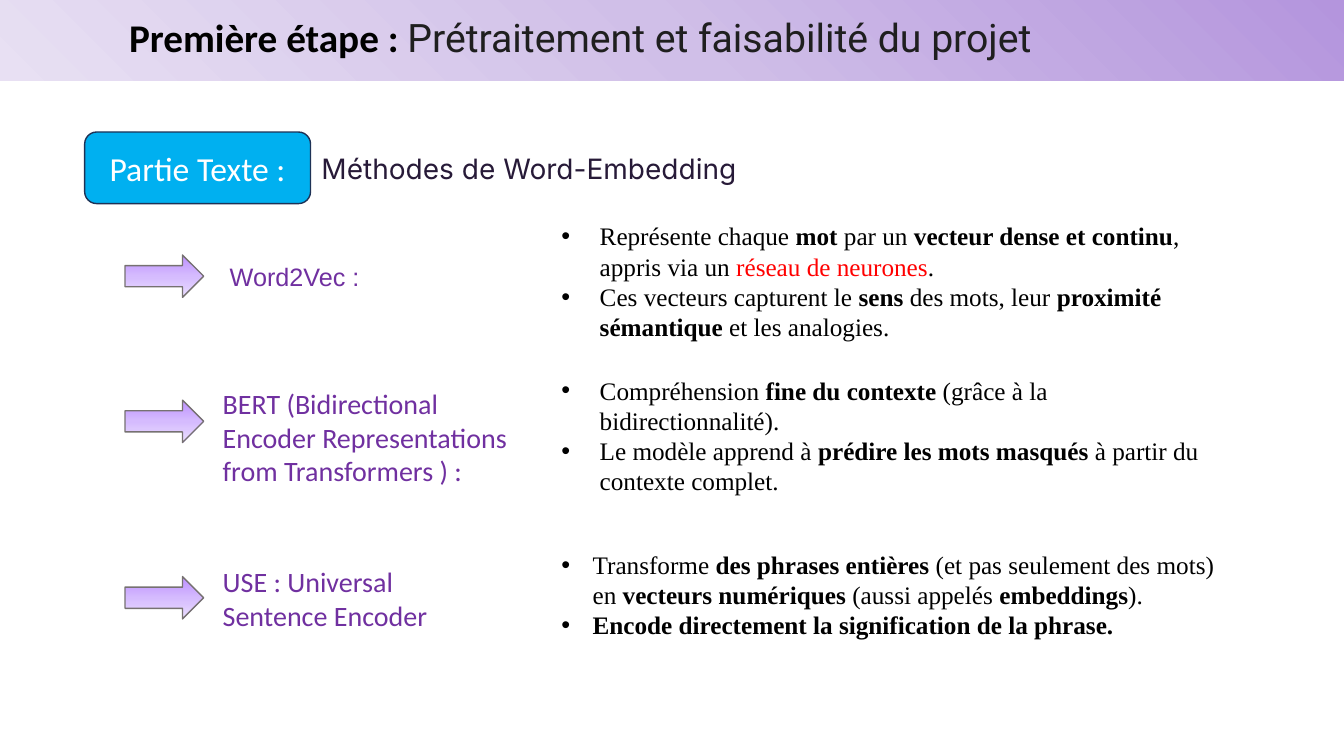
from dataclasses import dataclass
from typing import NamedTuple

from lxml import etree
from pptx import Presentation
from pptx.dml.color import RGBColor
from pptx.enum import shapes, text
from pptx.oxml import ns
from pptx.util import Inches, Pt

SERIF = "Times New Roman"
BLACK, RED, PURPLE = "000000", "FF0000", "7030A0"


class Box(NamedTuple):
    left: float
    top: float
    width: float
    height: float


class Run(NamedTuple):
    text: str
    bold: bool = False
    color: str = BLACK


@dataclass
class Method:
    name: str
    font: str
    size: int
    label: Box
    arrow: float  # top of the arrow
    body: float  # top of the bullets
    indent: float
    points: list[list[Run]]


METHODS = [
    Method("Word2Vec :", "Arial", 18, Box(2.18, 2.54, 1.69, 0.4), 2.53, 2.14, 0.38, [
        [Run("Représente chaque "), Run("mot", True), Run(" par un "),
         Run("vecteur dense et continu", True), Run(", appris via un "),
         Run("réseau de neurones", color=RED), Run(".")],
        [Run("Ces vecteurs capturent le "), Run("sens", True), Run(" des mots, leur "),
         Run("proximité sémantique", True), Run(" et les analogies.")],
    ]),
    Method("BERT (Bidirectional Encoder Representations from Transformers ) :",
           "Calibri", 20, Box(2.11, 3.78, 3.18, 1.11), 3.97, 3.67, 0.38, [
        [Run("Compréhension "), Run("fine du contexte", True),
         Run(" (grâce à la bidirectionnalité).")],
        [Run("Le modèle apprend à "), Run("prédire les mots masqués", True),
         Run(" à partir du contexte complet.")],
    ]),
    Method("USE : Universal Sentence Encoder",
           "Calibri", 20, Box(2.11, 5.55, 2.89, 0.77), 5.72, 5.4, 0.31, [
        [Run("Transforme "), Run("des phrases entières", True),
         Run(" (et pas seulement des mots) en "), Run("vecteurs numériques", True),
         Run(" (aussi appelés "), Run("embeddings", True), Run(").")],
        [Run("Encode directement la signification de la phrase.", True)],
    ]),
]


def rgb(code: str) -> RGBColor:
    return RGBColor.from_string(code)


def style(font, name: str, size: int, color: str) -> None:
    font.name, font.size = name, Pt(size)
    font.color.rgb = rgb(color)


def shape(slide, kind, box: Box, line: str = ""):
    item = slide.shapes.add_shape(kind, *map(Inches, box))
    item.shadow.inherit = False
    if line:
        item.line.color.rgb = rgb(line)
        item.line.width = Pt(1)
    else:
        item.line.fill.background()
    return item


def blend(item, colors: list[str], angle: float) -> None:
    """Fill with evenly spaced colours; the angle runs counter-clockwise."""
    item.fill.gradient()
    item.fill.gradient_angle = angle
    stops = item._element.spPr.find(".//" + ns.qn("a:gsLst"))
    for old in list(stops):
        stops.remove(old)
    for i, color in enumerate(colors):
        pos = str(100000 * i // (len(colors) - 1))
        stop = etree.SubElement(stops, ns.qn("a:gs"), pos=pos)
        etree.SubElement(stop, ns.qn("a:srgbClr"), val=color)


def frame(slide, box: Box, anchor=text.MSO_ANCHOR.TOP):
    body = slide.shapes.add_textbox(*map(Inches, box)).text_frame
    body.word_wrap = True
    body.auto_size = text.MSO_AUTO_SIZE.SHAPE_TO_FIT_TEXT
    body.vertical_anchor = anchor
    return body


def label(slide, box: Box, words: str, font: str, size: int, color: str,
          anchor=text.MSO_ANCHOR.TOP) -> None:
    para = frame(slide, box, anchor).paragraphs[0]
    para.text = words
    style(para.font, font, size, color)


def bullets(slide, box: Box, points: list[list[Run]], indent: float) -> None:
    body = frame(slide, box)
    for i, runs in enumerate(points):
        para = body.add_paragraph() if i else body.paragraphs[0]
        props = para._p.get_or_add_pPr()
        props.set("marL", str(Inches(indent)))
        props.set("indent", str(-Inches(indent)))
        etree.SubElement(props, ns.qn("a:buFont"), typeface="Arial")
        etree.SubElement(props, ns.qn("a:buChar"), char="•")
        para.font.name, para.font.size = SERIF, Pt(18)
        for part in runs:
            run = para.add_run()
            run.text = part.text
            run.font.bold = part.bold
            run.font.color.rgb = rgb(part.color)


def header(slide) -> None:
    band = shape(slide, shapes.MSO_SHAPE.RECTANGLE, Box(0, 0, 13.33, 0.8))
    blend(band, ["B495DD", "D0BFE8", "E8E0F3"], 225)
    title = slide.shapes.title
    title._element.addprevious(band._element)  # band goes behind the title
    title.left, title.top, title.width, title.height = map(
        Inches, Box(1.18, 0.08, 9.27, 0.57))
    body = title.text_frame
    body.word_wrap = False
    body.auto_size = text.MSO_AUTO_SIZE.SHAPE_TO_FIT_TEXT
    body.vertical_anchor = text.MSO_ANCHOR.TOP
    para = body.paragraphs[0]
    para.alignment = text.PP_ALIGN.LEFT
    for words, font, color, bold in (
            ("Première étape : ", "Calibri", BLACK, True),
            ("Prétraitement et faisabilité du projet", "Roboto", "1F1F1F", False)):
        run = para.add_run()
        run.text = words
        run.font.bold = bold
        style(run.font, font, 28, color)


def section(slide) -> None:
    label(slide, Box(3.09, 1.45, 10.2, 0.77), "Méthodes de Word-Embedding",
          "Inter", 20, "271A38")
    tag = shape(slide, shapes.MSO_SHAPE.ROUNDED_RECTANGLE,
                Box(0.84, 1.31, 2.24, 0.71), "1E3256")
    tag.fill.solid()
    tag.fill.fore_color.rgb = rgb("00B0F0")
    tag.text_frame.vertical_anchor = text.MSO_ANCHOR.MIDDLE
    para = tag.text_frame.paragraphs[0]
    para.text = "Partie Texte :"
    para.alignment = text.PP_ALIGN.CENTER
    style(para.font, "Calibri", 24, "FFFFFF")


def main() -> None:
    deck = Presentation()
    deck.slide_width, deck.slide_height = Inches(13.33), Inches(7.5)
    slide = deck.slides.add_slide(deck.slide_layouts[5])
    header(slide)
    section(slide)

    # One row per embedding method
    for row in METHODS:
        arrow = shape(slide, shapes.MSO_SHAPE.RIGHT_ARROW,
                      Box(1.24, row.arrow, 0.78, 0.42), "767171")
        blend(arrow, ["BD90FF", "D5BBFE", "EADEFE"], 270)
        label(slide, row.label, row.name, row.font, row.size, PURPLE,
              text.MSO_ANCHOR.MIDDLE)
        bullets(slide, Box(5.47, row.body, 6.74, 1.31), row.points, row.indent)

    deck.save("out.pptx")


if __name__ == "__main__":
    main()
